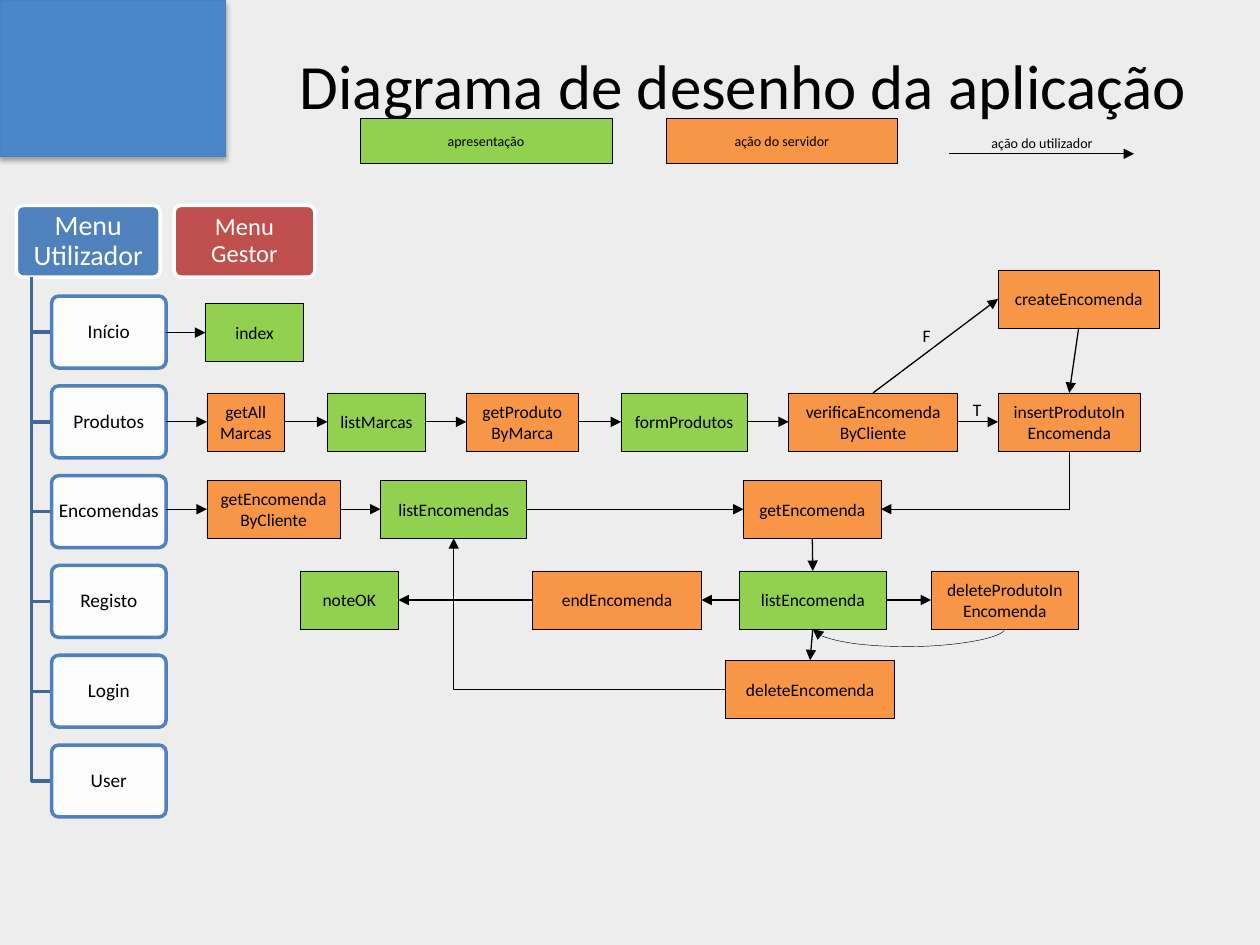
from lxml import etree
from pptx import Presentation
from pptx import util as u
from pptx.dml.color import RGBColor
from pptx.enum import shapes as s, text as t
from pptx.oxml import parse_xml
from pptx.oxml.ns import nsdecls, qn

theme = dict(
    back="EDEDED", band="4A85C9", edge="4B7EBC", blue="4F81BD", stem="3F6797",
    red="C0504D", green="92D050", orange="F79646", white="FFFFFF", pale="FDFDFD",
    black="000000", font="Calibri", title=36, user=16, boss=14, item=11, node=10, key=8)

prs = Presentation()
prs.slide_width, prs.slide_height = u.Cm(25.4), u.Cm(19.05)
slide = prs.slides.add_slide(prs.slide_layouts[6])
slide.background.fill.solid()
slide.background.fill.fore_color.rgb = RGBColor.from_string(theme["back"])


def box(area, words="", size="node", fill=None, line=None, wide=0.25,
        ink="black", kind=s.MSO_SHAPE.RECTANGLE, top=False, inset=None):
    """Add a shape, or a text box when there is no fill, with centred text."""
    place = [u.Cm(n) for n in area]
    if fill:
        shape = slide.shapes.add_shape(kind, *place)
        shape.shadow.inherit = False
        shape.fill.solid()
        shape.fill.fore_color.rgb = RGBColor.from_string(theme[fill])
        shape.line.color.rgb = RGBColor.from_string(theme[line or "black"])
        shape.line.width = u.Pt(wide)
    else:
        shape = slide.shapes.add_textbox(*place)
    if kind == s.MSO_SHAPE.ROUNDED_RECTANGLE:
        shape.adjustments[0] = 0.1
    frame = shape.text_frame
    frame.text = words
    look = dict(word_wrap=True, vertical_anchor=t.MSO_ANCHOR.TOP if top else t.MSO_ANCHOR.MIDDLE)
    if inset is not None:
        look.update({f"margin_{side}": u.Cm(inset) for side in ("left", "right", "top", "bottom")})
    for name, value in look.items():
        setattr(frame, name, value)
    para = frame.paragraphs[0]
    para.alignment = t.PP_ALIGN.CENTER
    if inset is not None:
        para.line_spacing = 0.9
    for run in para.runs:
        for name, value in dict(name=theme["font"], size=u.Pt(theme[size])).items():
            setattr(run.font, name, value)
        run.font.color.rgb = RGBColor.from_string(theme[ink])
    return shape


def link(start, end, wide=0.75, form=None, turn=0, bend=None):
    """Add an arrow; form and turn give the preset and rotation of a bent one."""
    (x1, y1), (x2, y2) = start, end
    if form:
        w, h = abs(x2 - x1), max(abs(y2 - y1), 0.01)
        if turn == 90:
            w, h = h, w
        mx, my = (x1 + x2) / 2, (y1 + y2) / 2
        x1, y1, x2, y2 = mx - w / 2, my - h / 2, mx + w / 2, my + h / 2
    line = slide.shapes.add_connector(
        s.MSO_CONNECTOR.STRAIGHT, *[u.Cm(n) for n in (x1, y1, x2, y2)])
    line.line.color.rgb = RGBColor.from_string(theme["black"])
    line.line.width = u.Pt(wide)
    props = line._element.spPr
    etree.SubElement(props.find(qn("a:ln")), qn("a:tailEnd"), type="triangle")
    etree.SubElement(props, qn("a:effectLst"))
    if form:
        props.find(qn("a:xfrm")).set("rot", str(turn * 60000))
        geom = props.find(qn("a:prstGeom"))
        geom.set("prst", form)
        if bend:
            geom.get_or_add_avLst()
            etree.SubElement(geom.find(qn("a:avLst")), qn("a:gd"),
                             name="adj1", fmla=f"val {bend}")


# Heading
band = box((0, 0, 4.55, 3.15), fill="band", line="edge", wide=0.75)
shade = band._element.spPr.find(qn("a:effectLst"))
shade.append(parse_xml(
    f'<a:outerShdw {nsdecls("a")} blurRad="39370" dist="22860" dir="5400000" rotWithShape="0">'
    '<a:srgbClr val="000000"><a:alpha val="35000"/></a:srgbClr></a:outerShdw>'))
box((4.57, 0.81, 20.83, 2.16), "Diagrama de desenho da aplicação", "title", top=True)

# Menus
ROUND = s.MSO_SHAPE.ROUNDED_RECTANGLE
menu = dict(line="white", wide=2, ink="white", kind=ROUND, inset=0.07)
box((0.33, 4.14, 2.9, 1.45), "Menu Utilizador", "user", "blue", **menu)
box((3.51, 4.14, 2.84, 1.45), "Menu Gestor", "boss", "red", **menu)
spots = {}
for i, name in enumerate(["Início", "Produtos", "Encomendas", "Registo", "Login", "User"]):
    top, high = 5.97 + 1.81 * i, 1.45
    mid = top + high / 2
    pen = slide.shapes.build_freeform(u.Cm(0.64), u.Cm(5.59))
    pen.add_line_segments([(u.Cm(0.64), u.Cm(mid)), (u.Cm(1.04), u.Cm(mid))], close=False)
    stem = pen.convert_to_shape()
    stem.shadow.inherit = False
    stem.fill.background()
    stem.line.color.rgb = RGBColor.from_string(theme["stem"])
    stem.line.width = u.Pt(2)
    spots[name] = (1.04, top, 2.31, high)
    box(spots[name], name, "item", "pale", "blue", 2, kind=ROUND, inset=0.05)

# Flow: top of each row, then name, left, width and colour of its nodes
rows = {
    5.44: [("createEncomenda", 20.12, 3.25, "orange")],
    6.12: [("index", 4.14, 1.98, "green")],
    7.92: [("getAll\vMarcas", 4.17, 1.57, "orange"), ("listMarcas", 6.6, 1.98, "green"),
           ("getProduto\vByMarca", 9.4, 2.26, "orange"), ("formProdutos", 12.52, 2.54, "green"),
           ("verificaEncomenda\vByCliente", 15.9, 3.4, "orange"),
           ("insertProdutoIn\vEncomenda", 20.12, 2.87, "orange")],
    9.68: [("getEncomenda\vByCliente", 4.17, 2.69, "orange"),
           ("listEncomendas", 7.67, 2.95, "green"), ("getEncomenda", 14.99, 2.77, "orange")],
    11.51: [("noteOK", 6.05, 1.98, "green"), ("endEncomenda", 10.74, 3.4, "orange"),
            ("listEncomenda", 14.91, 2.95, "green"),
            ("deleteProdutoIn\vEncomenda", 18.77, 2.97, "orange")],
    13.31: [("deleteEncomenda", 14.63, 3.4, "orange")],
}
for top, nodes in rows.items():
    for words, left, wide, hue in nodes:
        name = words.replace("\v", "")
        spots[name] = (left, top, wide, 1.17)
        box(spots[name], words, fill=hue)

ports = {name: dict(l=(x, y + h / 2), r=(x + w, y + h / 2), t=(x + w / 2, y), b=(x + w / 2, y + h))
         for name, (x, y, w, h) in spots.items()}
chains = [
    "Início index",
    "Produtos getAllMarcas listMarcas getProdutoByMarca formProdutos "
    "verificaEncomendaByCliente insertProdutoInEncomenda",
    "Encomendas getEncomendaByCliente listEncomendas getEncomenda",
    "listEncomenda deleteProdutoInEncomenda",
]
for chain in chains:
    names = chain.split()
    for a, b in zip(names, names[1:]):
        end = ports[b]["l"]
        link((ports[a]["r"][0], end[1]), end)
for a, out, b, into, look in [
        ("verificaEncomendaByCliente", "t", "createEncomenda", "l", {}),
        ("createEncomenda", "b", "insertProdutoInEncomenda", "t", {}),
        ("getEncomenda", "b", "listEncomenda", "t", {}),
        ("listEncomenda", "b", "deleteEncomenda", "t", {}),
        ("listEncomenda", "l", "endEncomenda", "r", {}),
        ("endEncomenda", "l", "noteOK", "r", {}),
        ("insertProdutoInEncomenda", "b", "getEncomenda", "r",
         dict(wide=0.25, form="bentConnector2", turn=90)),
        ("deleteEncomenda", "l", "listEncomendas", "b",
         dict(wide=0.25, form="bentConnector2", turn=180)),
        ("deleteProdutoInEncomenda", "b", "listEncomenda", "b",
         dict(wide=0.25, form="curvedConnector3", turn=90, bend=3600000))]:
    link(ports[a][out], ports[b][into], **look)
for words, left, top in [("T", 19.28, 7.92), ("F", 18.26, 6.43)]:
    box((left, top, 0.84, 0.69), words, top=True)

# Legend
box((7.26, 2.39, 5.08, 0.91), "apresentação", "key", "green")
box((13.44, 2.39, 4.65, 0.91), "ação do servidor", "key", "orange")
link((19.13, 3.1), (22.86, 3.1))
box((17.96, 2.59, 6.1, 0.61), "ação do utilizador", "key", top=True)

prs.save("out.pptx")
